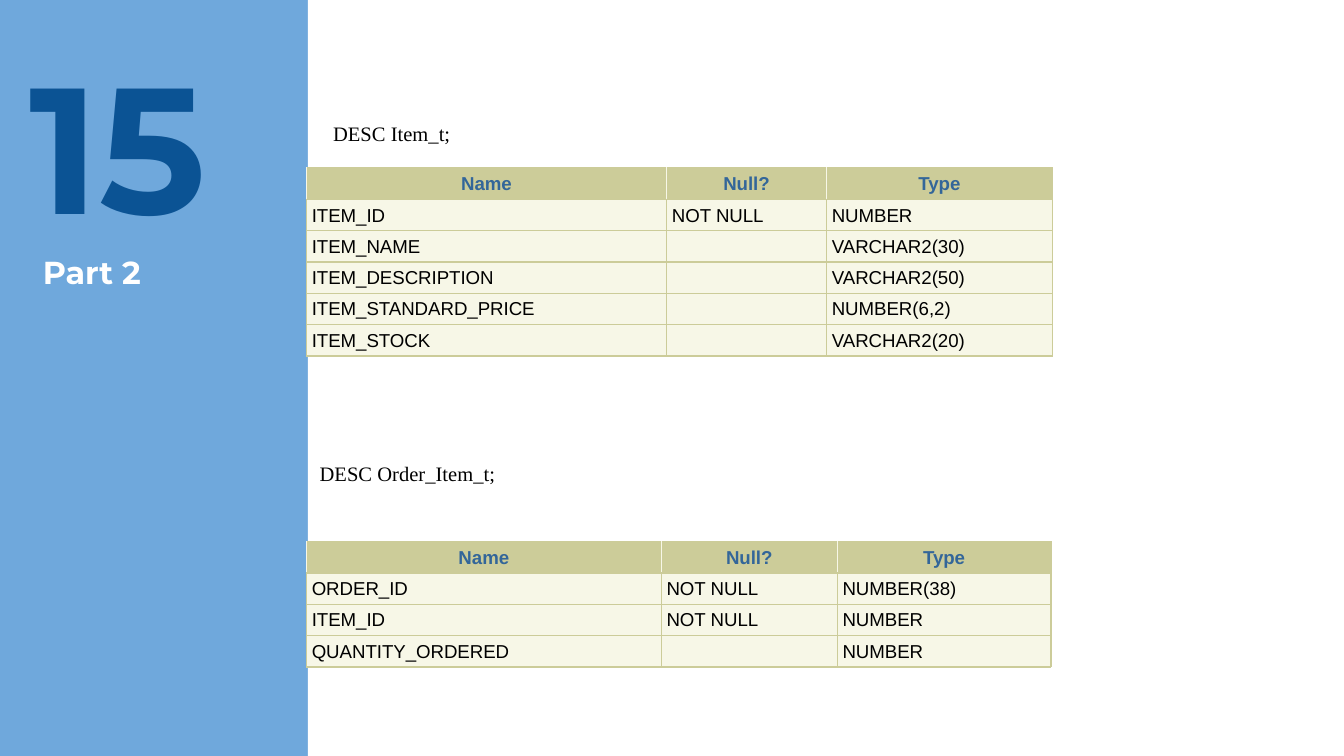
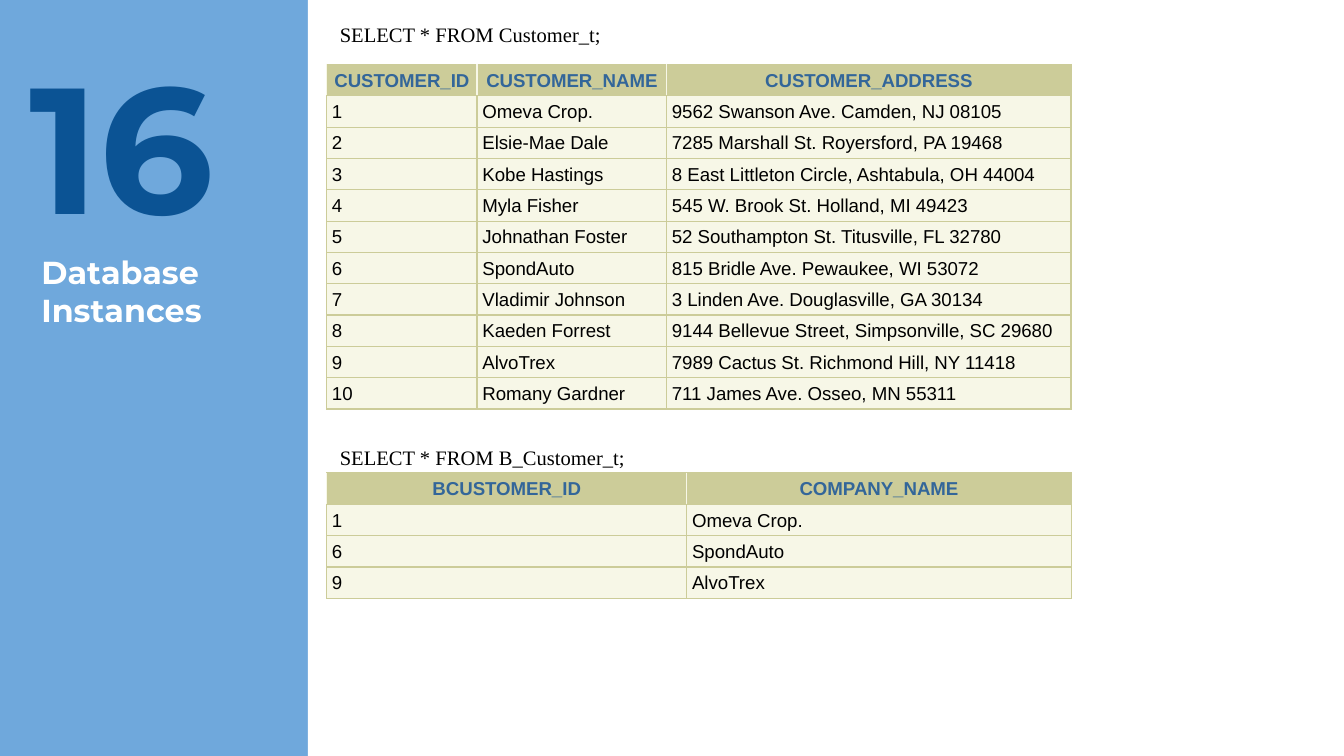
import pptx
import pptx.dml.color
import pptx.enum.shapes
import pptx.enum.text
import pptx.oxml.ns
import pptx.util
from lxml import etree

Inches, Pt = pptx.util.Inches, pptx.util.Pt

COLORS = {
    "band": "6FA8DC", "panel": "FFFFFF", "number": "0B5394", "title": "FFFFFF",
    "code": "000000", "body_text": "000000", "head_text": "336699",
    "head": "CCCC99", "body": "F7F7E7",
}
BAND_WIDTH = 2.29
ROW_HEIGHT = 0.23
CODE_SIZE = 3.28

COLUMN_HEADS = ("Name", "Null?", "Type")

# Each query: code, code position and height, table position, column widths, heads, rows
SLIDES = [
    {
        "number": "15", "title": "Part 2", "title_left": 0.22,
        "queries": [
            ("DESC Order_Item_t;", (2.28, 3.34, 0.75), (2.28, 4.03), (2.64, 1.31, 1.59),
             COLUMN_HEADS, [
                ("ORDER_ID", "NOT NULL", "NUMBER(38)"),
                ("ITEM_ID", "NOT NULL", "NUMBER"),
                ("QUANTITY_ORDERED", "", "NUMBER"),
            ]),
            ("DESC Item_t;", (2.38, 0.81, CODE_SIZE), (2.28, 1.25), (2.68, 1.19, 1.68),
             COLUMN_HEADS, [
                ("ITEM_ID", "NOT NULL", "NUMBER"),
                ("ITEM_NAME", "", "VARCHAR2(30)"),
                ("ITEM_DESCRIPTION", "", "VARCHAR2(50)"),
                ("ITEM_STANDARD_PRICE", "", "NUMBER(6,2)"),
                ("ITEM_STOCK", "", "VARCHAR2(20)"),
            ]),
        ],
    },
    {
        "number": "16", "title": "Database Instances", "title_left": 0.21,
        "queries": [
            ("SELECT * FROM Customer_t;", (2.43, 0.07, CODE_SIZE), (2.43, 0.48),
             (1.12, 1.41, 3.01), ("CUSTOMER_ID", "CUSTOMER_NAME", "CUSTOMER_ADDRESS"), [
                ("1", "Omeva Crop.", "9562 Swanson Ave. Camden, NJ 08105"),
                ("2", "Elsie-Mae Dale", "7285 Marshall St. Royersford, PA 19468"),
                ("3", "Kobe Hastings", "8 East Littleton Circle, Ashtabula, OH 44004"),
                ("4", "Myla Fisher", "545 W. Brook St. Holland, MI 49423"),
                ("5", "Johnathan Foster", "52 Southampton St. Titusville, FL 32780"),
                ("6", "SpondAuto", "815 Bridle Ave. Pewaukee, WI 53072"),
                ("7", "Vladimir Johnson", "3 Linden Ave. Douglasville, GA 30134"),
                ("8", "Kaeden Forrest", "9144 Bellevue Street, Simpsonville, SC 29680"),
                ("9", "AlvoTrex", "7989 Cactus St. Richmond Hill, NY 11418"),
                ("10", "Romany Gardner", "711 James Ave. Osseo, MN 55311"),
            ]),
            ("SELECT * FROM B_Customer_t;", (2.43, 3.22, CODE_SIZE), (2.43, 3.52),
             (2.68, 2.86), ("BCUSTOMER_ID", "COMPANY_NAME"), [
                ("1", "Omeva Crop."),
                ("6", "SpondAuto"),
                ("9", "AlvoTrex"),
            ]),
        ],
    },
]


def rgb(name):
    return pptx.dml.color.RGBColor.from_string(COLORS[name])


def style_runs(paragraph, size, face, color, bold):
    for span in paragraph.runs:
        span.font.size = Pt(size)
        span.font.name = face
        span.font.bold = bold
        span.font.color.rgb = rgb(color)


def add_text(page, text, left, top, width, height, size, face, color, bold=False):
    box = page.shapes.add_textbox(Inches(left), Inches(top), Inches(width), Inches(height))
    frame = box.text_frame
    frame.word_wrap = True
    frame.margin_left = frame.margin_right = Inches(0.1)
    frame.margin_top = frame.margin_bottom = Inches(0.1)
    frame.text = text
    style_runs(frame.paragraphs[0], size, face, color, bold)


def add_element(parent, tag, **attributes):
    return etree.SubElement(parent, pptx.oxml.ns.qn(tag), attributes)


def set_borders(cell, left_color, right_color):
    properties = cell._tc.get_or_add_tcPr()
    sides = {"L": left_color, "R": right_color, "T": "head", "B": "head"}
    for side, color in sides.items():
        line = add_element(properties, f"a:ln{side}", w=str(Pt(0.75)))
        add_element(add_element(line, "a:solidFill"), "a:srgbClr", val=COLORS[color])


def fill_cell(cell, text, is_head, is_last):
    set_borders(cell, "body" if is_head else "head",
                "body" if is_head and not is_last else "head")
    cell.fill.solid()
    cell.fill.fore_color.rgb = rgb("head" if is_head else "body")
    cell.margin_left = cell.margin_right = Inches(0.04)
    cell.margin_top = cell.margin_bottom = Pt(1.5)
    para = cell.text_frame.paragraphs[0]
    para.line_spacing = 1.15
    if is_head:
        para.alignment = pptx.enum.text.PP_ALIGN.CENTER
    if text:
        para.text = text
        style_runs(para, 10, "Arial", "head_text" if is_head else "body_text", is_head)
    else:
        add_element(para._p, "a:endParaRPr", sz="1000")


def add_result(page, left, top, widths, heads, rows):
    """Add the table that a query returns."""
    lines = [heads, *rows]
    table = page.shapes.add_table(
        len(lines), len(heads), Inches(left), Inches(top),
        Inches(sum(widths)), Inches(ROW_HEIGHT * len(lines))).table
    table.horz_banding = False
    for column, width in zip(table.columns, widths):
        column.width = Inches(width)
    for row_index, line in enumerate(lines):
        table.rows[row_index].height = Inches(ROW_HEIGHT)
        for column_index, text in enumerate(line):
            fill_cell(table.cell(row_index, column_index), text,
                      row_index == 0, column_index == len(heads) - 1)


def add_page(deck, content):
    page = deck.slides.add_slide(deck.slide_layouts[6])
    page.background.fill.solid()
    page.background.fill.fore_color.rgb = rgb("band")
    panel = page.shapes.add_shape(
        pptx.enum.shapes.MSO_SHAPE.RECTANGLE, Inches(BAND_WIDTH), 0,
        deck.slide_width - Inches(BAND_WIDTH), deck.slide_height)
    panel.shadow.inherit = False
    panel.fill.solid()
    panel.fill.fore_color.rgb = rgb("panel")
    panel.line.fill.background()
    add_text(page, content["number"], 0.12, 0.16, 1.98, 1.37, 96, "Montserrat", "number", True)
    add_text(page, content["title"], content["title_left"], 1.78, 2.06, 0.94,
             17, "Montserrat", "title", True)
    for code, (left, top, height), table_at, widths, heads, rows in content["queries"]:
        add_result(page, *table_at, widths, heads, rows)
        add_text(page, code, left, top, CODE_SIZE, height, 11, "Times New Roman", "code")


def main():
    deck = pptx.Presentation()
    deck.slide_width = Inches(10)
    deck.slide_height = deck.slide_width * 9 // 16
    for content in SLIDES:
        add_page(deck, content)
    deck.save("out.pptx")


if __name__ == "__main__":
    main()
